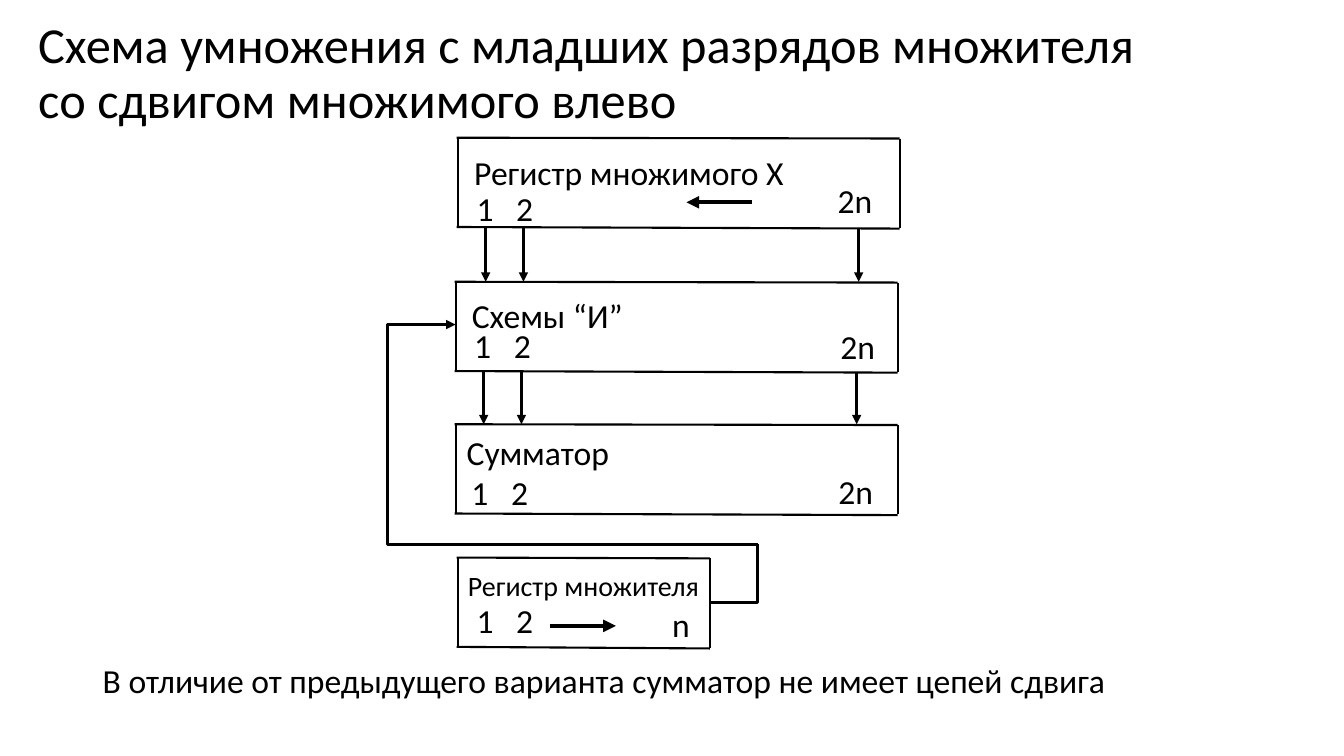
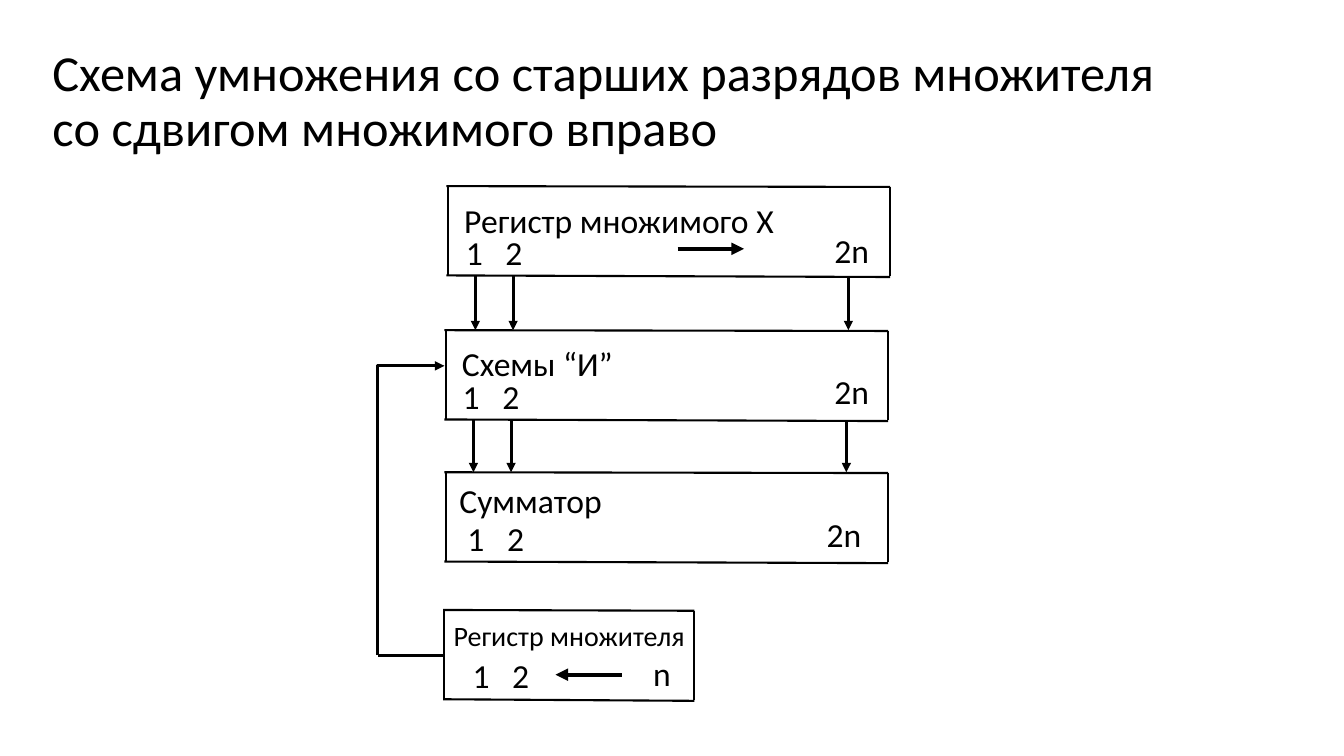
import pptx
import pptx.util
import pptx.dml.color
import pptx.enum.shapes
import pptx.enum.text
import pptx.oxml.ns
from lxml import etree

Cm = pptx.util.Cm
Pt = pptx.util.Pt
qn = pptx.oxml.ns.qn
Connector = pptx.enum.shapes.MSO_CONNECTOR
Anchor = pptx.enum.text.MSO_ANCHOR

COLORS = {"ink": "000000"}
INK = pptx.dml.color.RGBColor.from_string(COLORS["ink"])
FORMATS = {
    "title": {"name": "Calibri", "size": Pt(36)},
    "body": {"name": "Calibri", "size": Pt(24)},
    "small": {"name": "Calibri", "size": Pt(20)},
}
BOX_HEIGHT = 2.25
EDGE_OVERHANG = 0.03
EDGE_SLANT = 0.02
DIGIT_STEP = 1
BIT_OFFSETS = (0.7, 1.65, 10.1)

SLIDES = [
    {
        "title": "Схема умножения с младших разрядов множителя со сдвигом множимого влево",
        "title_area": (0.71, 0.39, 29.21, 3.89),
        "title_anchor": Anchor.TOP,
        "boxes": [
            ("Регистр множимого Х", "body", (11.54, 3.49, 11.13), (11.7, 3.7), (11.76, 4.6), "2n", (20.86, 4.42)),
            ("Схемы “И”", "body", (11.49, 7.12, 11.13), (11.64, 7.31), (11.7, 8.06), "2n", (20.93, 8.08)),
            ("Сумматор", "body", (11.49, 10.71, 11.13), (11.51, 10.75), (11.63, 11.76), "2n", (20.88, 11.73)),
            ("Регистр множителя", "small", (11.54, 14.07, 6.35), (11.54, 14.2), (11.76, 15), "n", (16.69, 15.1)),
        ],
        "shifts": [((18.95, 5.1), (17.3, 5.1)), ((13.85, 15.77), (15.52, 15.77))],
        "feedback": [
            ((19.1, 13.72), (11.48, 8.18), True, 122400),
            ((19.1, 13.72), (17.91, 15.19), False, 0),
        ],
        "notes": ["В отличие от предыдущего варианта сумматор не имеет цепей сдвига"],
    },
    {
        "title": "Схема умножения со старших разрядов множителя со сдвигом множимого вправо",
        "title_area": (1.07, 0.75, 29.21, 3.68),
        "title_anchor": Anchor.MIDDLE,
        "boxes": [
            ("Регистр множимого Х", "body", (11.28, 4.71, 11.15), (11.45, 4.92), (11.49, 5.72), "2n", (20.78, 5.66)),
            ("Схемы “И”", "body", (11.23, 8.34, 11.15), (11.39, 8.51), (11.41, 9.35), "2n", (20.78, 9.22)),
            ("Сумматор", "body", (11.23, 11.92, 11.15), (11.33, 11.96), (11.53, 12.92), "2n", (20.58, 12.83)),
            ("Регистр множителя", "small", (11.2, 15.39, 6.3), (11.18, 15.47), (11.66, 16.38), "n", (16.21, 16.33)),
        ],
        "shifts": [((15.67, 17), (14, 17)), ((17.08, 6.27), (18.75, 6.27))],
        "feedback": [
            ((9.52, 16.51), (11.2, 9.22), True, 0),
            ((9.52, 16.51), (11.2, 16.51), False, None),
        ],
        "notes": [],
    },
]


def add_text(slide, text, area, style, anchor=Anchor.TOP, spacing=1.0):
    shape = slide.shapes.add_textbox(*map(Cm, area))
    frame = shape.text_frame
    frame.word_wrap = True
    frame.vertical_anchor = anchor
    paragraph = frame.paragraphs[0]
    paragraph.text = text
    paragraph.line_spacing = spacing
    for name, value in FORMATS[style].items():
        setattr(paragraph.font, name, value)
    paragraph.font.color.rgb = INK


def add_line(slide, start, end, width, arrow=True, bend=None):
    kind = Connector.STRAIGHT if bend is None else Connector.ELBOW
    connector = slide.shapes.add_connector(kind, *map(Cm, start + end))
    connector.line.color.rgb = INK
    connector.line.width = Pt(width)
    properties = connector._element.spPr
    if bend is not None:
        adjustments = properties.find(qn("a:prstGeom")).get_or_add_avLst()
        etree.SubElement(adjustments, qn("a:gd"), name="adj1", fmla=f"val {bend}")
    if arrow:
        etree.SubElement(properties.find(qn("a:ln")), qn("a:tailEnd"), type="triangle")
    etree.SubElement(properties, qn("a:effectLst"))


presentation = pptx.Presentation()
presentation.slide_width = Cm(33.87)
presentation.slide_height = Cm(19.05)

for content in SLIDES:
    slide = presentation.slides.add_slide(presentation.slide_layouts[6])
    add_text(slide, content["title"], content["title_area"], "title", content["title_anchor"], 0.9)

    for caption, style, (left, top, width), caption_at, digit_at, last, last_at in content["boxes"]:
        right, bottom = left + width, top + BOX_HEIGHT
        outer_left = left - EDGE_OVERHANG
        edges = [
            ((outer_left, top - EDGE_SLANT), (right, top)),
            ((left, top), (left, bottom)),
            ((right, top), (right, bottom)),
            ((right, bottom + EDGE_SLANT), (outer_left, bottom - EDGE_SLANT)),
        ]
        for start, end in edges:
            add_line(slide, start, end, 1.5, arrow=False)
        add_text(slide, caption, caption_at + (8.4, 1.27), style)
        for index, digit in enumerate("12"):
            add_text(slide, digit, (digit_at[0] + index * DIGIT_STEP, digit_at[1], 2.46, 1.27), "body")
        add_text(slide, last, last_at + (2.46, 1.27), "body")

    areas = [box[2] for box in content["boxes"][:3]]
    for (left, top, _), (_, next_top, _) in zip(areas, areas[1:]):
        for offset in BIT_OFFSETS:
            add_line(slide, (left + offset, top + BOX_HEIGHT), (left + offset, next_top - EDGE_SLANT), 2.25)

    for start, end in content["shifts"]:
        add_line(slide, start, end, 3)
    for start, end, arrow, bend in content["feedback"]:
        add_line(slide, start, end, 2.25, arrow, bend)
    for note in content["notes"]:
        add_text(slide, note, (2.34, 16.51, 29.21, 1.27), "body")

presentation.save("out.pptx")
